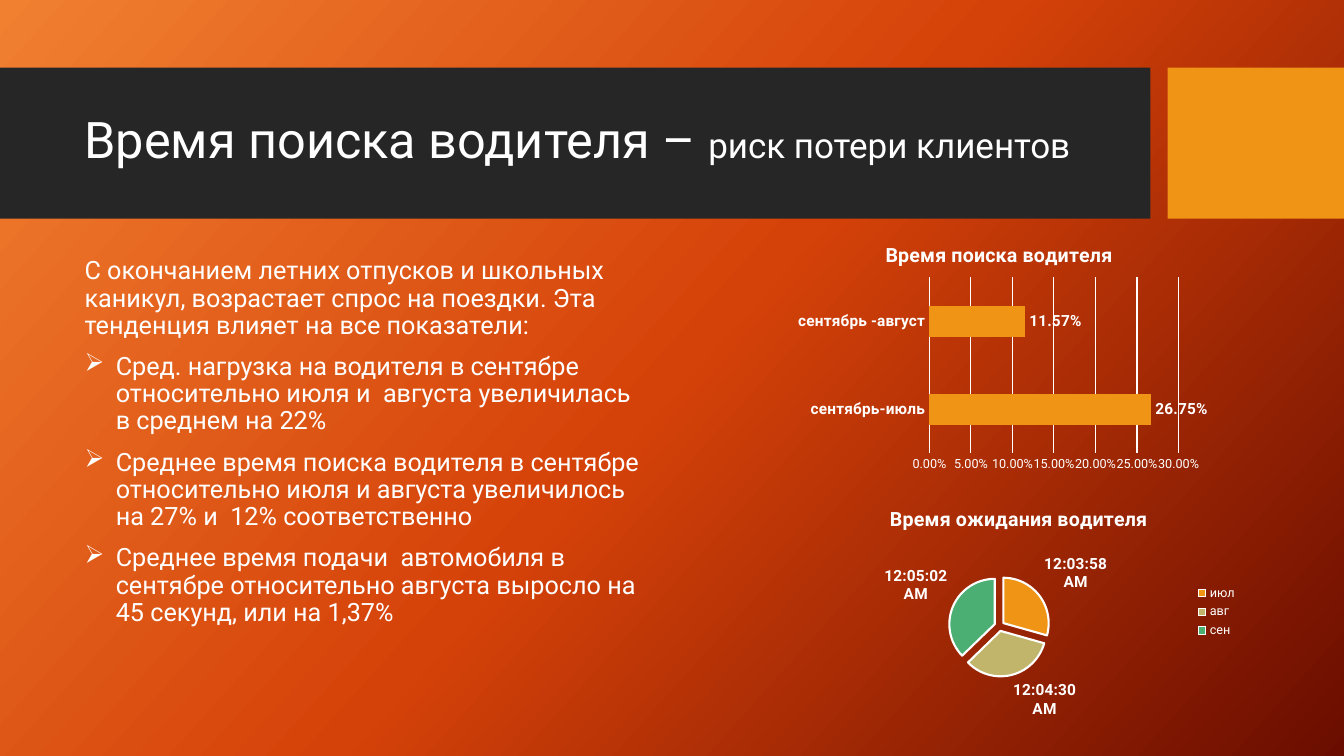
from copy import deepcopy

from pptx import Presentation
from pptx.chart.data import CategoryChartData
from pptx.dml.color import RGBColor
from pptx.enum.chart import XL_CHART_TYPE as Kind, XL_LABEL_POSITION as LabelAt
from pptx.enum.chart import XL_LEGEND_POSITION as LegendAt, XL_TICK_MARK as Tick
from pptx.enum.shapes import MSO_SHAPE as Preset
from pptx.enum.text import MSO_ANCHOR as Anchor
from pptx.oxml import parse_xml
from pptx.oxml.ns import nsdecls, qn
from pptx.util import Inches, Pt

FONT, WHITE, ORANGE = "Roboto", "FFFFFF", "F09415"
BACKDROP = [(0, "F18031"), (0.5, "D54209"), (1, "6A0D00")]
BANDS = [((0, 0.67, 11.41, 1.5), "262626"), ((11.58, 0.67, 1.75, 1.5), ORANGE)]
HEADING = [("Время поиска водителя – ", 36), ("риск потери клиентов", 25)]
HEADING_AT = (0.74, 0.82, 10.51, 1.18)
STORY_AT = (0.74, 2.56, 5.71, 4.36)
INTRO = ("С окончанием летних отпусков и школьных каникул, возрастает спрос на поездки. "
         "Эта тенденция влияет на все показатели:")
FINDINGS = [
    "Сред. нагрузка на водителя в сентябре относительно июля и  августа увеличилась в среднем на 22%",
    "Среднее время поиска водителя в сентябре относительно июля и августа увеличилось на 27% и  12% соответственно",
    "Среднее время подачи  автомобиля в сентябре относительно августа выросло на 45 секунд, или на 1,37%",
]
WAIT = dict(title="Время ожидания водителя", series="Series 1", kind=Kind.PIE,
            at=(7.84, 4.88, 4.53, 2.38), plot=(0.345, 0.35, 0.225, 0.42),
            values={"июл": 0.002758, "авг": 0.003134, "сен": 0.003496},
            format=r"[$-F400]h:mm:ss\ AM/PM")
SEARCH = dict(title="Время поиска водителя", series="Время поиска водителя",
              kind=Kind.BAR_CLUSTERED, at=(7.84, 2.25, 4.14, 2.5),
              plot=(0.333, 0.2, 0.597, 0.7),
              values={"сентябрь-июль": 0.2675, "сентябрь -август": 0.1157}, format="0.00%")
SLICES = [ORANGE, "C1B56B", "4BAF73"]


def rgb(value):
    return RGBColor.from_string(value)


def style(font, size, bold=False):
    for name, value in dict(name=FONT, size=Pt(size), bold=bold).items():
        setattr(font, name, value)
    font.color.rgb = rgb(WHITE)


def outline(line, width):
    line.color.rgb = rgb(WHITE)
    line.width = Pt(width)


def add_text_frame(slide, at, anchor):
    frame = slide.shapes.add_textbox(*map(Inches, at)).text_frame
    frame.word_wrap = True
    frame.vertical_anchor = anchor
    return frame


def add_run(paragraph, text, size):
    run = paragraph.add_run()
    run.text = text
    style(run.font, size)
    paragraph.line_spacing = 0.9


def paint_backdrop(slide):
    fill = slide.background.fill
    fill.gradient()
    fill.gradient_angle = 318
    stops = slide.element.find(".//" + qn("a:gsLst"))
    stops.insert(1, deepcopy(stops[0]))
    for stop, (position, color) in zip(fill.gradient_stops, BACKDROP):
        stop.position = position
        stop.color.rgb = rgb(color)


def add_story(slide):
    frame = add_text_frame(slide, STORY_AT, Anchor.TOP)
    frame.margin_top = 0
    add_run(frame.paragraphs[0], INTRO, 18)
    for finding in FINDINGS:
        paragraph = frame.add_paragraph()
        add_run(paragraph, finding, 18)
        paragraph.space_before = Pt(10)
        props = paragraph._p.get_or_add_pPr()
        props.set("marL", str(Inches(0.31)))
        props.set("indent", str(-Inches(0.31)))
        props.append(parse_xml(f'<a:buChar {nsdecls("a")} char="➢"/>'))


def add_chart(slide, item):
    data = CategoryChartData(number_format=item["format"])
    data.categories = list(item["values"])
    data.add_series(item["series"], list(item["values"].values()))
    chart = slide.shapes.add_chart(item["kind"], *map(Inches, item["at"]), data).chart
    style(chart.font, 10)
    chart.has_title = True
    chart.has_legend = False
    title = chart.chart_title.text_frame
    title.text = item["title"]
    style(title.paragraphs[0].runs[0].font, 14, True)
    area = chart.element.find(".//" + qn("c:plotArea"))
    for old in area.findall(qn("c:layout")):
        area.remove(old)
    sizes = "".join(f'<c:{side} val="{part}"/>' for side, part in zip("xywh", item["plot"]))
    area.insert(0, parse_xml(
        f'<c:layout {nsdecls("c")}><c:manualLayout><c:layoutTarget val="inner"/>'
        f'<c:xMode val="edge"/><c:yMode val="edge"/>{sizes}</c:manualLayout></c:layout>'))
    plot = chart.plots[0]
    plot.has_data_labels = True
    labels = plot.data_labels
    for name, value in dict(show_value=True, show_percentage=False, number_format=item["format"],
                            number_format_is_linked=False, position=LabelAt.OUTSIDE_END).items():
        setattr(labels, name, value)
    style(labels.font, 11, True)
    return chart, plot


def add_wait(slide):
    chart, plot = add_chart(slide, WAIT)
    plot.vary_by_categories = True
    chart.has_legend = True
    chart.legend.position = LegendAt.RIGHT
    chart.legend.include_in_layout = False
    style(chart.legend.font, 9)
    series = plot.series[0]
    for index, color in enumerate(SLICES):
        look = series.points[index].format
        look.fill.solid()
        look.fill.fore_color.rgb = rgb(color)
        outline(look.line, 1.5)
    first_point = series._element.find(qn("c:dPt"))
    first_point.addprevious(parse_xml(f'<c:explosion {nsdecls("c")} val="11"/>'))


def add_search(slide):
    chart, plot = add_chart(slide, SEARCH)
    plot.vary_by_categories = False
    plot.gap_width = 182
    bars = plot.series[0].format.fill
    bars.solid()
    bars.fore_color.rgb = rgb(ORANGE)
    months, shares = chart.category_axis, chart.value_axis
    for axis, size, bold in [(months, 11, True), (shares, 9, False)]:
        axis.major_tick_mark = axis.minor_tick_mark = Tick.NONE
        style(axis.tick_labels.font, size, bold)
    outline(months.format.line, 0.75)
    shares.format.line.fill.background()
    shares.has_major_gridlines = True
    outline(shares.major_gridlines.format.line, 0.75)
    for name, value in dict(minimum_scale=0, maximum_scale=0.3, major_unit=0.05).items():
        setattr(shares, name, value)
    shares.tick_labels.number_format = SEARCH["format"]
    shares.tick_labels.number_format_is_linked = False


def main():
    """Build the slide on driver search time and save it."""
    deck = Presentation()
    deck.slide_width, deck.slide_height = Inches(13.33), Inches(7.5)
    slide = deck.slides.add_slide(deck.slide_layouts[6])
    paint_backdrop(slide)
    for at, color in BANDS:
        band = slide.shapes.add_shape(Preset.RECTANGLE, *map(Inches, at))
        band.shadow.inherit = False
        band.fill.solid()
        band.fill.fore_color.rgb = rgb(color)
        band.line.fill.background()
    heading = add_text_frame(slide, HEADING_AT, Anchor.MIDDLE).paragraphs[0]
    for text, size in HEADING:
        add_run(heading, text, size)
    add_story(slide)
    add_wait(slide)
    add_search(slide)
    deck.save("out.pptx")


if __name__ == "__main__":
    main()
